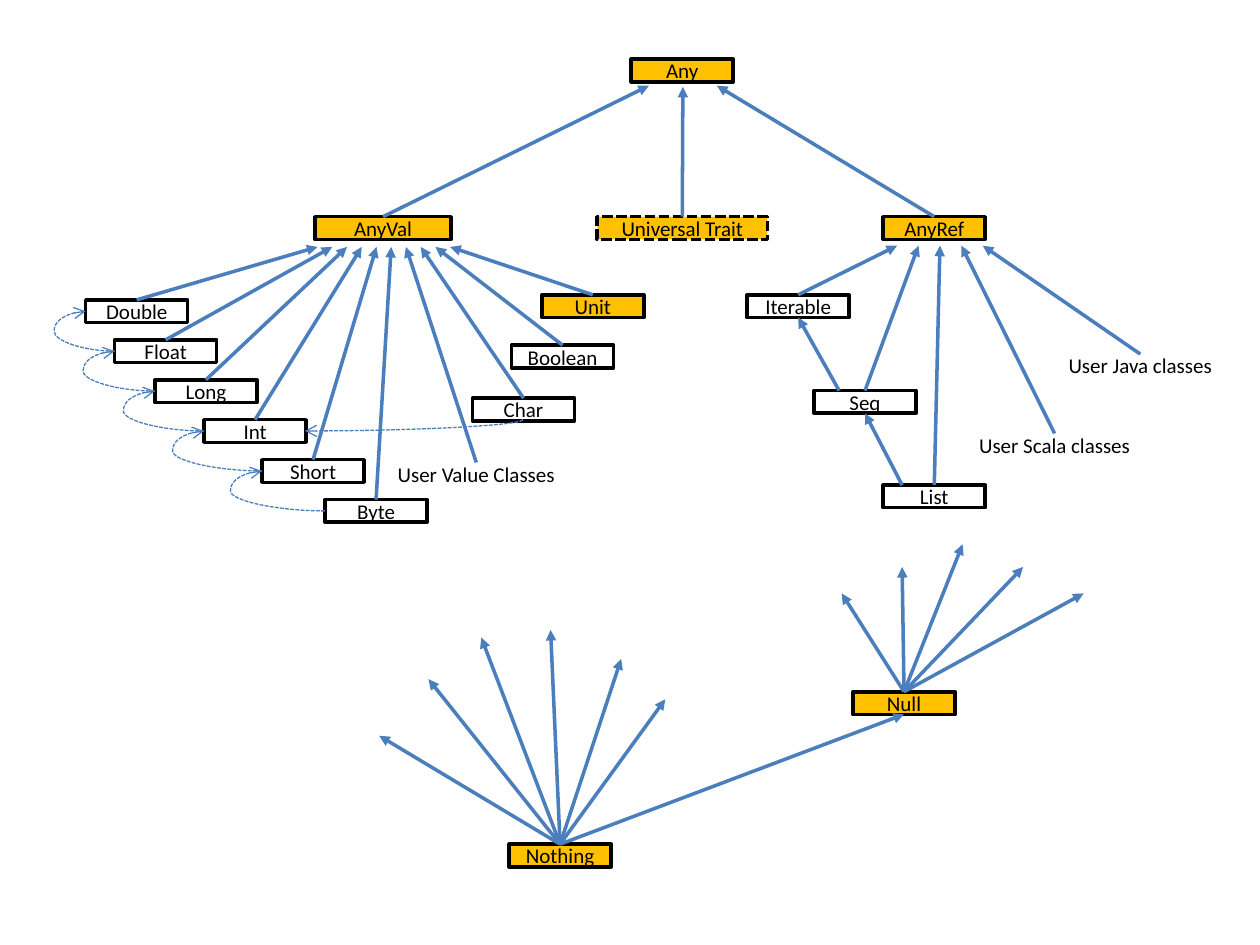
import pptx
import pptx.util
import pptx.dml.color
import pptx.enum.dml
import pptx.enum.shapes
import pptx.enum.text
import pptx.oxml
import pptx.oxml.ns
from dataclasses import dataclass
from pptx.util import Inches

RGB = pptx.dml.color.RGBColor.from_string
CONNECTOR = pptx.enum.shapes.MSO_CONNECTOR
TOP, BOTTOM = 0, 2


@dataclass(frozen=True)
class Theme:
    core: str = "FFC000"
    plain: str = "FFFFFF"
    ink: str = "000000"
    arrow: str = "4B7EBC"
    font: str = "Calibri"
    size: float = 12
    heavy: float = 2
    thin: float = 0.75


THEME = Theme()
DASHED = pptx.enum.dml.MSO_LINE.SQUARE_DOT
BOX_HEIGHT = 0.18
BOX_WIDTH = 0.81

# Type name: left, top, width
CORE_TYPES = {
    "Any": (5.01, 0.47, BOX_WIDTH),
    "AnyVal": (2.5, 1.72, 1.08),
    "Universal Trait": (4.74, 1.72, 1.35),
    "AnyRef": (7.01, 1.72, BOX_WIDTH),
    "Unit": (4.3, 2.34, BOX_WIDTH),
    "Null": (6.77, 5.49, BOX_WIDTH),
    "Nothing": (4.04, 6.7, BOX_WIDTH),
}
NUMERIC_LEFTS = {"Double": 0.68, "Float": 0.91, "Long": 1.23,
                 "Int": 1.62, "Short": 2.08, "Byte": 2.58}
PLAIN_TYPES = {
    "Char": (3.75, 3.16, BOX_WIDTH),
    "Boolean": (4.06, 2.74, BOX_WIDTH),
    "Iterable": (5.93, 2.34, BOX_WIDTH),
    "Seq": (6.46, 3.1, BOX_WIDTH),
    "List": (7.01, 3.85, BOX_WIDTH),
}
USER_TYPES = {
    "User Value Classes": (3.05, 3.67, 1.46),
    "User Java classes": (8.36, 2.81, 1.38),
    "User Scala classes": (7.66, 3.44, 1.42),
}

# Subtypes in the order in which their arrows meet the parent, left to right
VALUE_TYPES = [*NUMERIC_LEFTS, "User Value Classes", "Char", "Boolean", "Unit"]
REFERENCE_TYPES = ["Iterable", "Seq", "List",
                   "User Scala classes", "User Java classes"]

# Tips of the arrows that stand for "every type above"
NOTHING_TIPS = [(3.01, 5.84), (3.4, 5.39), (3.82, 5.06),
                (4.37, 5), (4.93, 5.23), (5.28, 5.55)]
NULL_TIPS = [(6.68, 4.71), (7.16, 4.5), (7.64, 4.32), (8.12, 4.5), (8.6, 4.71)]


def set_values(target, values):
    for name, value in values.items():
        setattr(target, name, value)


def style_line(line, color, width, dash=None):
    line.color.rgb = RGB(color)
    set_values(line, {"width": pptx.util.Pt(width), "dash_style": dash})


def add_type(slide, name, place, fill, outlined=True, dash=None):
    left, top, width = place
    box = slide.shapes.add_shape(
        pptx.enum.shapes.MSO_SHAPE.RECTANGLE,
        Inches(left), Inches(top), Inches(width), Inches(BOX_HEIGHT))
    box.shadow.inherit = False
    box.fill.solid()
    box.fill.fore_color.rgb = RGB(fill)
    if outlined:
        style_line(box.line, THEME.ink, THEME.heavy, dash)
    else:
        box.line.fill.background()
    set_values(box.text_frame, {
        "margin_left": 0, "margin_right": 0, "margin_top": 0,
        "margin_bottom": 0, "word_wrap": True,
        "vertical_anchor": pptx.enum.text.MSO_ANCHOR.MIDDLE})
    label = box.text_frame.paragraphs[0]
    label.alignment = pptx.enum.text.PP_ALIGN.CENTER
    run = label.add_run()
    run.text = name
    set_values(run.font, {"name": THEME.font, "size": pptx.util.Pt(THEME.size)})
    run.font.color.rgb = RGB(THEME.ink)
    return box


def add_line(slide, kind, start, end, width, head, dash=None):
    line = slide.shapes.add_connector(
        kind, *(Inches(value) for value in (*start, *end)))
    style_line(line.line, THEME.arrow, width, dash)
    outline = line.line._get_or_add_ln()
    pptx.oxml.ns.qn("a:tailEnd")
    outline.append(pptx.oxml.parse_xml(
        f'<a:tailEnd {pptx.oxml.ns.nsdecls("a")} type="{head}"/>'))
    line._element.spPr.append(pptx.oxml.parse_xml(
        f'<a:effectLst {pptx.oxml.ns.nsdecls("a")}/>'))
    return line


def add_arrow(slide, start, end):
    """Straight arrow; each end is a point or a (box, side) pair."""
    points = [end_ if isinstance(end_[0], (int, float)) else (0, 0)
              for end_ in (start, end)]
    arrow = add_line(slide, CONNECTOR.STRAIGHT, *points, THEME.heavy, "triangle")
    if points[0] != start:
        arrow.begin_connect(*start)
    if points[1] != end:
        arrow.end_connect(*end)


def add_conversion(slide, start, end):
    """Dashed curve that swings out to the left of both boxes."""
    bulge = 0.25
    curve = add_line(slide, CONNECTOR.CURVE, start, end, THEME.thin, "arrow", DASHED)
    run = start[0] - end[0]
    guides = curve._element.spPr.prstGeom.get_or_add_avLst()
    guides.append(pptx.oxml.parse_xml(
        f'<a:gd {pptx.oxml.ns.nsdecls("a")} name="adj1" '
        f'fmla="val {round((run + bulge) / run * 100000)}"/>'))


def add_char_conversion(slide, start, end):
    """Dashed quarter curve, down and then left: a quarter turn of the preset."""
    run, drop = start[0] - end[0], end[1] - start[1]
    middle_x, middle_y = (start[0] + end[0]) / 2, (start[1] + end[1]) / 2
    curve = add_line(slide, CONNECTOR.CURVE,
                     (middle_x - drop / 2, middle_y - run / 2),
                     (middle_x + drop / 2, middle_y + run / 2),
                     THEME.thin, "arrow", DASHED)
    properties = curve._element.spPr
    properties.prstGeom.set("prst", "curvedConnector2")
    properties.xfrm.set("rot", "5400000")


def main():
    deck = pptx.Presentation()
    set_values(deck, {"slide_width": Inches(10), "slide_height": Inches(7.5)})
    slide = deck.slides.add_slide(deck.slide_layouts[6])

    # Types
    numeric = {name: (left, 2.38 + 0.317 * row, BOX_WIDTH)
               for row, (name, left) in enumerate(NUMERIC_LEFTS.items())}
    types = {}
    for name, place in CORE_TYPES.items():
        dash = DASHED if name == "Universal Trait" else None
        types[name] = add_type(slide, name, place, THEME.core, dash=dash)
    for name, place in USER_TYPES.items():
        types[name] = add_type(slide, name, place, THEME.plain, outlined=False)
    for name, place in {**numeric, **PLAIN_TYPES}.items():
        types[name] = add_type(slide, name, place, THEME.plain)

    # Inheritance up to Any
    for name, tip in (("AnyVal", (5.15, 0.68)), ("Universal Trait", (5.42, 0.69)),
                      ("AnyRef", (5.69, 0.68))):
        add_arrow(slide, (types[name], TOP), tip)

    # Inheritance up to AnyVal and AnyRef, tips evenly spaced
    for names, left, step, top in ((VALUE_TYPES, 2.52, 0.117, 1.96),
                                   (REFERENCE_TYPES, 7.12, 0.17, 1.95)):
        for index, name in enumerate(names):
            add_arrow(slide, (types[name], TOP), (left + index * step, top))

    # Collections
    add_arrow(slide, (6.66, 3.1), (types["Iterable"], BOTTOM))
    add_arrow(slide, (7.16, 3.85), (types["Seq"], BOTTOM))

    # Bottom types
    for name, tips in (("Nothing", NOTHING_TIPS), ("Null", NULL_TIPS)):
        for tip in tips:
            add_arrow(slide, (types[name], TOP), tip)
    add_arrow(slide, (types["Nothing"], TOP), (types["Null"], BOTTOM))

    # Implicit numeric conversions
    left_sides = [(left, top + BOX_HEIGHT / 2) for left, top, _ in numeric.values()]
    for wider, narrower in zip(left_sides, left_sides[1:]):
        add_conversion(slide, narrower, wider)
    add_char_conversion(slide, (4.15, 3.33), (2.42, 3.42))

    deck.save("out.pptx")


if __name__ == "__main__":
    main()
